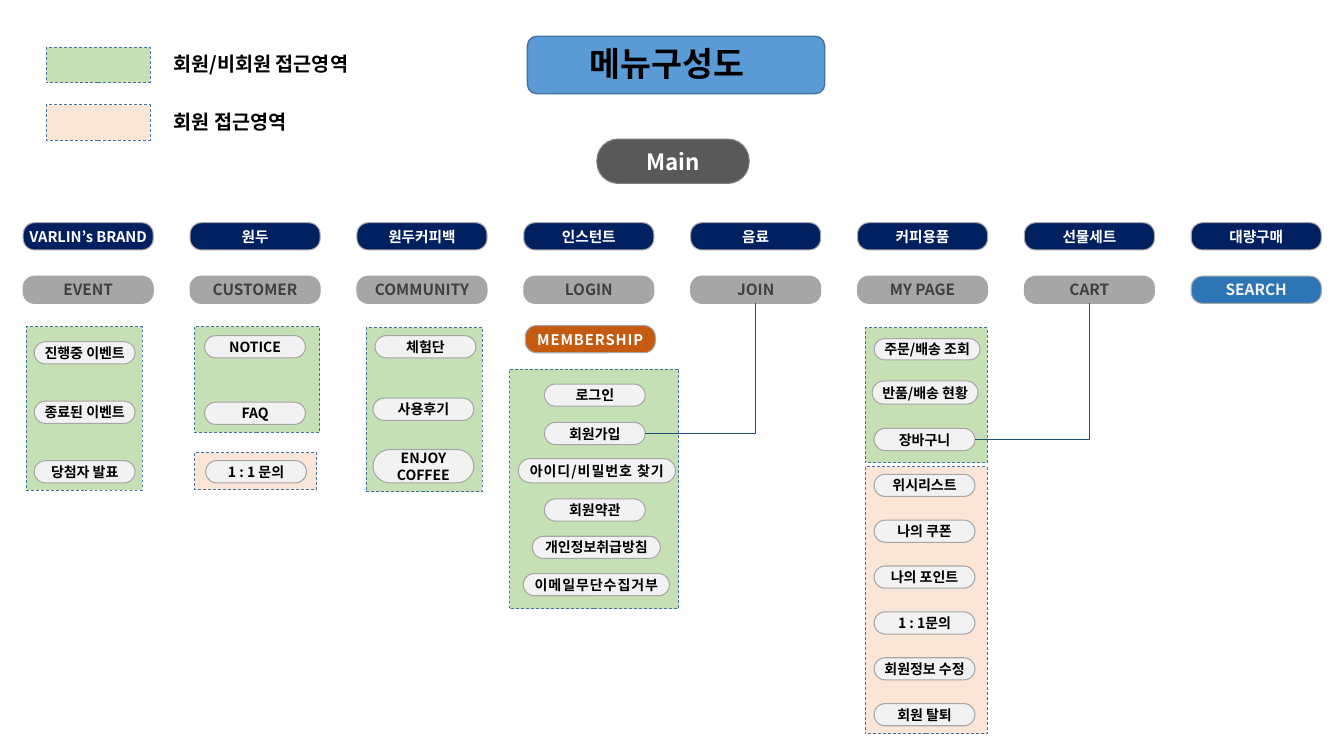
from lxml import etree
from pptx import Presentation
from pptx.dml.color import RGBColor
from pptx.enum.dml import MSO_LINE
from pptx.enum.shapes import MSO_CONNECTOR, MSO_SHAPE
from pptx.enum.text import MSO_ANCHOR, PP_ALIGN
from pptx.oxml.ns import qn
from pptx.util import Inches, Pt

RECT, ROUND = MSO_SHAPE.RECTANGLE, MSO_SHAPE.ROUNDED_RECTANGLE
ELBOW, DASH = MSO_CONNECTOR.ELBOW, MSO_LINE.DASH
MIDDLE, TOP = MSO_ANCHOR.MIDDLE, MSO_ANCHOR.TOP
CENTER, LEFT = PP_ALIGN.CENTER, PP_ALIGN.LEFT
SITE_BOTTOM, SITE_RIGHT = 2, 3

FONT = "Noto Sans CJK KR"
COLORS = {
    "open": "C5E0B4", "member": "FBE5D6", "panel_line": "43739E",
    "title": "5B9BD5", "main": "595959", "main_line": "808080",
    "navy": "002060", "gray": "A6A6A6", "gray_text": "404040",
    "search": "2E75B6", "orange": "C55A11", "pill": "F2F2F2",
    "link": "1F4E79", "black": "000000", "white": "FFFFFF",
}


def rgb(name):
    """Return the named colour."""
    return RGBColor.from_string(COLORS[name])


def write(tf, text, size=10, color="black", align=CENTER, anchor=MIDDLE,
          insets=(0.02, 0.02), spacing=0):
    """Put one bold paragraph into a text frame."""
    tf.word_wrap = True
    tf.vertical_anchor = anchor
    tf.margin_left = tf.margin_right = Inches(insets[0])
    tf.margin_top = tf.margin_bottom = Inches(insets[1])
    p = tf.paragraphs[0]
    p.alignment = align
    r = p.add_run()
    r.text = text
    r.font.name, r.font.size, r.font.bold = FONT, Pt(size), True
    r.font.color.rgb = rgb(color)
    props = r.font._element
    etree.SubElement(props, qn("a:ea")).set("typeface", FONT)
    if spacing:
        props.set("spc", str(round(spacing * 100)))


class MenuSlide:
    """Holds the slide and draws the parts of the menu chart."""

    def __init__(self, prs):
        """Add a blank slide."""
        self.s = prs.slides.add_slide(prs.slide_layouts[6])

    def box(self, x, y, w, h, fill, line, kind=ROUND, weight=0.75, adj=None):
        """Draw a filled, outlined shape."""
        sp = self.s.shapes.add_shape(kind, Inches(x), Inches(y), Inches(w), Inches(h))
        sp.shadow.inherit = False
        sp.fill.solid()
        sp.fill.fore_color.rgb = rgb(fill)
        sp.line.color.rgb = rgb(line)
        sp.line.width = Pt(weight)
        if adj is not None:
            sp.adjustments[0] = adj
        return sp

    def panel(self, x, y, w, h, fill):
        """Draw a dashed access area."""
        sp = self.box(x, y, w, h, fill, "panel_line", RECT, 0.5)
        sp.line.dash_style = DASH

    def tab(self, x, y, text, fill, **style):
        """Draw a menu tab."""
        sp = self.box(x, y, 1.29, 0.27, fill, "gray", adj=0.417)
        write(sp.text_frame, text, **style)
        return sp

    def pill(self, text, x, y, w=1, h=0.22, spacing=0):
        """Draw a submenu item."""
        sp = self.box(x, y, w, h, "pill", "gray", adj=0.5)
        write(sp.text_frame, text, spacing=spacing)
        return sp

    def label(self, x, y, w, h, text, size, left=0.1):
        """Draw a left-aligned text box."""
        sp = self.s.shapes.add_textbox(Inches(x), Inches(y), Inches(w), Inches(h))
        write(sp.text_frame, text, size=size, align=LEFT, anchor=TOP,
              insets=(left, 0.05))

    def link(self, item, tab):
        """Join an item's right side to the bottom of a tab with one bend."""
        sp = self.s.shapes.add_connector(ELBOW, 0, 0, 0, 0)
        sp.begin_connect(item, SITE_RIGHT)
        sp.end_connect(tab, SITE_BOTTOM)
        sp.line.color.rgb = rgb("link")
        sp.line.width = Pt(0.5)
        props = sp._element.spPr
        props.find(qn("a:prstGeom")).set("prst", "bentConnector2")
        etree.SubElement(props, qn("a:effectLst"))


CATEGORIES = ["VARLIN’s BRAND", "원두", "원두커피백", "인스턴트", "음료",
              "커피용품", "선물세트", "대량구매"]
SERVICES = ["EVENT", "CUSTOMER", "COMMUNITY", "LOGIN", "JOIN", "MY PAGE",
            "CART", "SEARCH"]
LEGEND = [(0.47, "open", "회원/비회원 접근영역"), (1.04, "member", "회원 접근영역")]
PANELS = [
    (0.26, 3.24, 1.15, 1.62, "open"),
    (1.93, 3.24, 1.24, 1.05, "open"),
    (1.93, 4.49, 1.21, 0.37, "member"),
    (3.63, 3.25, 1.15, 1.63, "open"),
    (5.05, 3.66, 1.68, 2.38, "open"),
    (8.58, 3.25, 1.21, 1.34, "open"),
    (8.58, 4.63, 1.21, 2.65, "member"),
]
# Evenly spaced items: left, first top, step, labels
STACKS = [
    (0.34, 3.39, 0.59, ["진행중 이벤트", "종료된 이벤트", "당첨자 발표"]),
    (2.03, 3.33, 0.66, ["NOTICE", "FAQ"]),
    (5.4, 3.81, 0.38, ["로그인", "회원가입"]),
    (8.67, 4.25, 0.455, ["장바구니", "위시리스트", "나의 쿠폰", "나의 포인트",
                         "1 : 1문의", "회원정보 수정", "회원 탈퇴"]),
]
# Single items: text, left, top, width, height, letter spacing
ITEMS = [
    ("1 : 1 문의", 2.04, 4.57),
    ("체험단", 3.72, 3.33),
    ("사용후기", 3.7, 3.95),
    ("ENJOY COFFEE", 3.7, 4.46, 1, 0.33),
    ("아이디/비밀번호 찾기", 5.14, 4.55, 1.56, 0.24, 0.7),
    ("회원약관", 5.4, 4.95),
    ("개인정보취급방침", 5.28, 5.32, 1.27),
    ("이메일무단수집거부", 5.19, 5.69, 1.45, 0.22, 0.7),
    ("주문/배송 조회", 8.67, 3.36, 1.05, 0.21),
    ("반품/배송 현황", 8.65, 3.78, 1.05, 0.23),
]

prs = Presentation()
prs.slide_width, prs.slide_height = Inches(13.33), Inches(7.5)
menu = MenuSlide(prs)

menu.box(5.23, 0.36, 2.95, 0.57, "title", "panel_line", weight=1)
menu.label(5.75, 0.38, 1.9, 0.5, "메뉴구성도", 24)
main = menu.box(5.92, 1.38, 1.51, 0.44, "main", "main_line", adj=0.479)
write(main.text_frame, "Main", size=16, color="white")

for y, fill, text in LEGEND:
    menu.panel(0.46, y, 1.03, 0.35, fill)
    menu.label(1.58, y, 2.79, 0.34, text, 14, left=0.14)

tabs = {}
for i, (category, service) in enumerate(zip(CATEGORIES, SERVICES)):
    x = 0.23 + 1.655 * i
    menu.tab(x, 2.21, category, "navy", size=10.5, color="white")
    fill, color = ("search", "pill") if service == "SEARCH" else ("gray", "gray_text")
    tabs[service] = menu.tab(x, 2.74, service, fill, size=11, color=color)
menu.tab(5.21, 3.23, "MEMBERSHIP", "orange", size=10.5, color="white", spacing=0.7)

for panel in PANELS:
    menu.panel(*panel)
pills = {}
for x, top, step, labels in STACKS:
    for i, text in enumerate(labels):
        pills[text] = menu.pill(text, x, top + step * i)
for item in ITEMS:
    menu.pill(*item)

menu.link(pills["회원가입"], tabs["JOIN"])
menu.link(pills["장바구니"], tabs["CART"])

prs.save("out.pptx")
